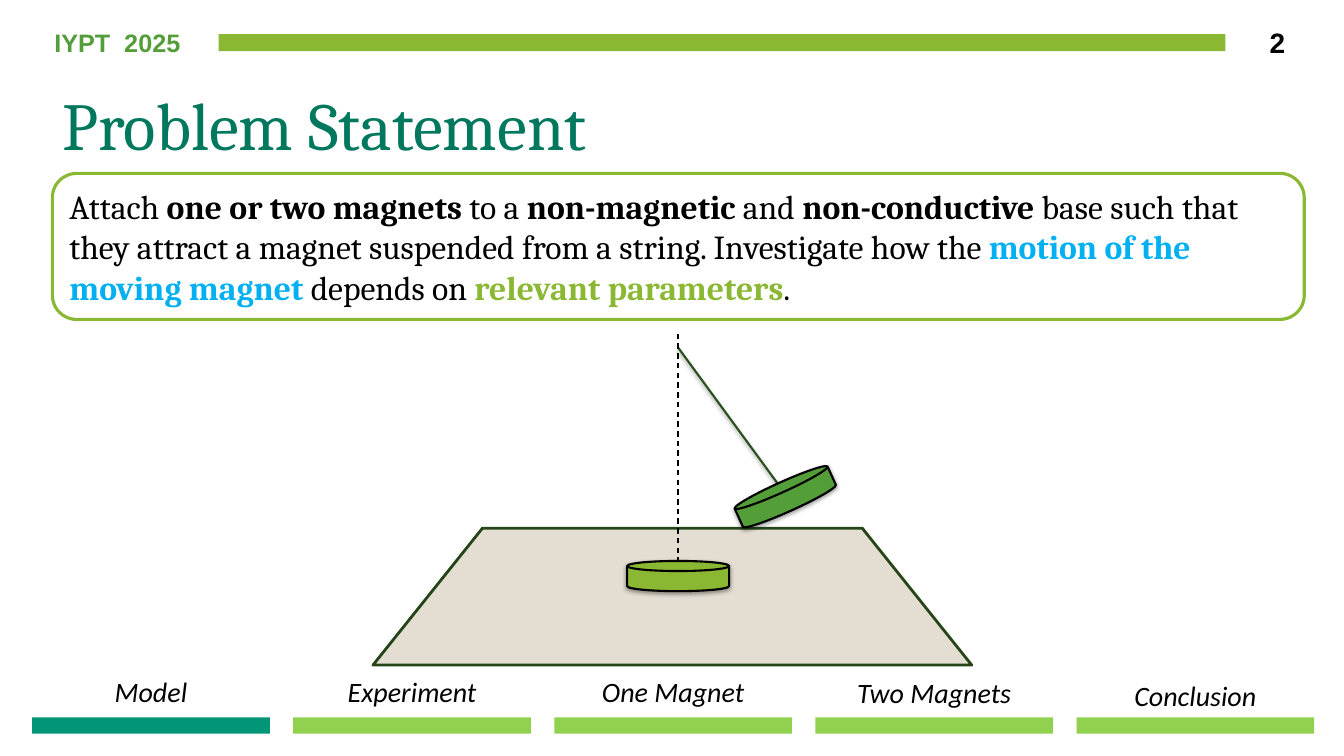
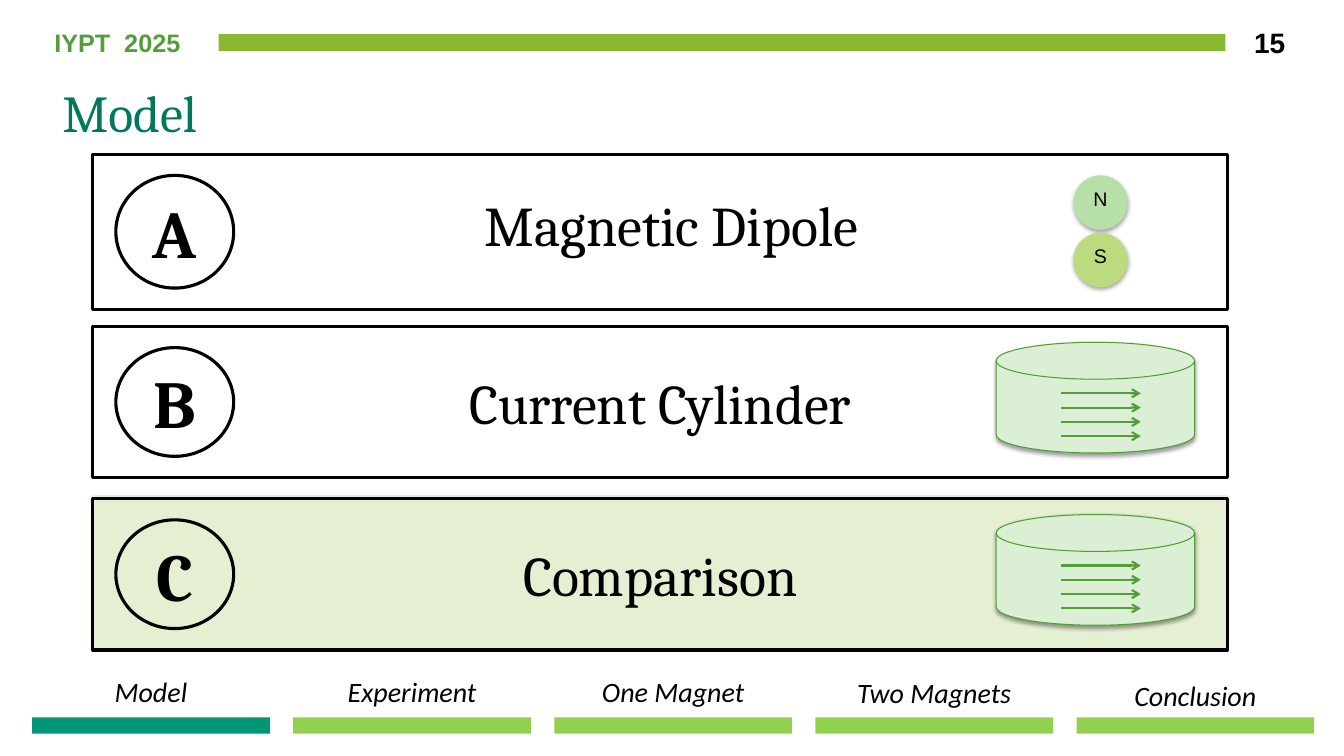
from dataclasses import dataclass

from lxml import etree
from pptx import Presentation
from pptx import util as u
from pptx.dml.color import RGBColor
from pptx.enum import dml, shapes, text
from pptx.oxml.ns import qn

Cm, Pt = u.Cm, u.Pt
KIND = shapes.MSO_SHAPE
ALIGN = text.PP_ALIGN
ANCHOR = text.MSO_ANCHOR


@dataclass(frozen=True)
class Theme:
    serif: str = "Cambria"
    sans: str = "Arial"
    label: str = "Calibri"
    ink: str = "000000"
    paper: str = "FFFFFF"
    title: str = "00785D"
    lime: str = "8AB833"
    green: str = "549E39"
    tab: str = "92D050"
    tab_active: str = "029676"
    blue: str = "00B0F0"
    base: str = "E3DED1"
    base_edge: str = "254519"
    string: str = "2A4F1C"
    drum: str = "DBEFD4"
    drum_edge: str = "519D35"
    north: str = "B7E0A8"
    south: str = "BBDB7E"
    letter_size: int = 48
    row_size: int = 40
    body_size: int = 24
    tab_size: int = 20
    event_size: int = 18
    pole_size: int = 14


T = Theme()

EVENT = "IYPT  2025"
TABS = [("Model", 16.87), ("Experiment", 16.87), ("One Magnet", 16.87),
        ("Two Magnets", 16.89), ("Conclusion", 16.97)]
ACTIVE_TAB = "Model"

PROBLEM = {"title": "Problem Statement", "size": 48, "height": 3.68, "number": "2"}
MODEL = {"title": "Model", "size": 37, "height": 3.05, "number": "15"}

STATEMENT = [
    ("Attach ", T.ink, False),
    ("one or two magnets ", T.ink, True),
    ("to a ", T.ink, False),
    ("non-magnetic", T.ink, True),
    (" and ", T.ink, False),
    ("non-conductive", T.ink, True),
    (" base such that they attract a magnet suspended from a string."
     " Investigate how the ", T.ink, False),
    ("motion of the moving magnet", T.blue, True),
    (" depends on ", T.ink, False),
    ("relevant parameters", T.lime, True),
    (".", T.ink, False),
]
MAGNETS = [(16.71, 13.23, 270, T.lime), (19.41, 11.23, 245.7, T.green)]

ROWS = [("A", "", 3.91), ("B", "Current Cylinder", 3.81), ("C", "Comparison", 3.81)]
ROW_LEFT, ROW_TOP, ROW_WIDTH, ROW_PITCH = 2.34, 3.89, 28.6, 4.34
DIPOLE = "Magnetic Dipole"
POLES = [("N", T.north), ("S", T.south)]
ARROWS = 4


def rgb(value):
    return RGBColor.from_string(value)


def effects(sh, shadow=None):
    lst = etree.SubElement(sh.element.spPr, qn("a:effectLst"))
    if shadow:
        outer = etree.SubElement(
            lst, qn("a:outerShdw"), blurRad=str(Pt(3.1)), dist=str(Pt(1.6)),
            dir="5400000", rotWithShape="0")
        clr = etree.SubElement(outer, qn("a:srgbClr"), val=T.ink)
        etree.SubElement(clr, qn("a:alpha"), val=str(shadow * 1000))


def shape(s, kind, box, fill=None, line=None, width=1, shadow=None, rot=0):
    sp = s.shapes.add_shape(kind, *map(Cm, box))
    sp.rotation = rot
    if fill:
        sp.fill.solid()
        sp.fill.fore_color.rgb = rgb(fill)
    else:
        sp.fill.background()
    if line:
        sp.line.color.rgb = rgb(line)
        sp.line.width = Pt(width)
    else:
        sp.line.fill.background()
    effects(sp, shadow)
    return sp


def connector(s, start, end, color, width, shadow=None):
    c = s.shapes.add_connector(shapes.MSO_CONNECTOR.STRAIGHT, *map(Cm, start + end))
    c.line.color.rgb = rgb(color)
    c.line.width = Pt(width)
    effects(c, shadow)
    return c


def write(sp, words, font, size, color=T.ink, align=ALIGN.CENTER,
          anchor=ANCHOR.MIDDLE, bold=False, italic=False, spacing=None):
    tf = sp.text_frame
    tf.word_wrap = True
    tf.auto_size = text.MSO_AUTO_SIZE.NONE
    tf.vertical_anchor = anchor
    p = tf.paragraphs[0]
    p.alignment = align
    if spacing:
        p.line_spacing = spacing
    f = p.font
    f.name, f.size, f.bold, f.italic = font, Pt(size), bold, italic
    f.color.rgb = rgb(color)
    if isinstance(words, str):
        p.add_run().text = words
        return
    for part, tint, strong in words:
        r = p.add_run()
        r.text = part
        r.font.bold = strong
        r.font.color.rgb = rgb(tint)


def textbox(s, box, words, font, size, **style):
    sp = s.shapes.add_textbox(*map(Cm, box))
    write(sp, words, font, size, **style)
    return sp


def draw_frame(s):
    parts = [shape(s, KIND.RECTANGLE, (5.51, 0.86, 25.37, 0.43), T.lime),
             textbox(s, (1.12, 0.56, 4.88, 1.02), EVENT, T.sans, T.event_size,
                     color=T.green, align=ALIGN.LEFT, anchor=ANCHOR.TOP, bold=True)]
    for i, (name, top) in enumerate(TABS):
        left = 0.81 + 6.58 * i
        fill = T.tab_active if name == ACTIVE_TAB else T.tab
        parts.append(textbox(s, (left, top, 5.99, 1.12), name, T.label, T.tab_size,
                             anchor=ANCHOR.TOP, italic=True))
        parts.append(shape(s, KIND.RECTANGLE, (left, 18.08, 5.99, 0.41), fill))
    return parts


def move_to_layout(layout, parts):
    for ph in list(layout.placeholders):
        if ph.placeholder_format.type != shapes.PP_PLACEHOLDER.TITLE:
            ph.element.getparent().remove(ph.element)
    for sp in parts:
        layout.shapes.element.append(sp.element)


def add_slide(prs, layout, content):
    s = prs.slides.add_slide(layout)
    title = s.shapes.title
    title.left, title.top = Cm(1.32), Cm(1.4)
    title.width, title.height = Cm(29.21), Cm(content["height"])
    write(title, content["title"], T.serif, content["size"], color=T.title,
          align=ALIGN.LEFT, spacing=0.9)
    return s


def add_number(s, content):
    textbox(s, (30.89, 0.46, 1.75, 1.22), content["number"], T.sans, T.tab_size,
            align=ALIGN.RIGHT, bold=True)


def draw_problem(s):
    box = shape(s, KIND.ROUNDED_RECTANGLE, (1.32, 4.37, 31.55, 3.68),
                T.paper, T.lime, 2.25)
    write(box, STATEMENT, T.serif, T.body_size, align=ALIGN.LEFT)
    base = shape(s, KIND.TRAPEZOID, (9.4, 13.31, 15.09, 3.45), T.base, T.base_edge, 2)
    base.adjustments[0] = 0.8
    connector(s, (17.09, 8.76), (19.66, 12.27), T.string, 1.5, shadow=38)
    axis = connector(s, (17.09, 8.41), (17.09, 14.88), T.ink, 1)
    axis.line.dash_style = dml.MSO_LINE.DASH
    for left, top, rot, fill in MAGNETS:
        shape(s, KIND.FLOWCHART_DIRECT_ACCESS_STORAGE, (left, top, 0.76, 2.57),
              fill, T.ink, 1.5, shadow=38, rot=rot)


def draw_cylinder(s, top):
    shape(s, KIND.FLOWCHART_DIRECT_ACCESS_STORAGE, (26.21, top - 0.71, 2.79, 5),
          T.drum, T.drum_edge, 0.75, shadow=38, rot=270)
    for i in range(ARROWS):
        y = top + 1.68 + 0.36 * i
        arrow = connector(s, (26.75, y), (28.75, y), T.green, 1.5)
        etree.SubElement(arrow.line._get_or_add_ln(), qn("a:tailEnd"), type="arrow")


def draw_poles(s):
    for i, (name, fill) in enumerate(POLES):
        pole = shape(s, KIND.OVAL, (27.05, 4.42 + 1.45 * i, 1.37, 1.37), fill, shadow=35)
        write(pole, name, T.sans, T.pole_size, anchor=ANCHOR.TOP)
        tf = pole.text_frame
        tf.margin_left = tf.margin_right = tf.margin_bottom = 0
        tf.margin_top = Cm(0.08)


def draw_model(s):
    glow = shape(s, KIND.RECTANGLE, (ROW_LEFT, 12.47, ROW_WIDTH, 3.96), T.lime)
    clr = glow.element.spPr.find(qn("a:solidFill")).find(qn("a:srgbClr"))
    etree.SubElement(clr, qn("a:alpha"), val="22000")
    for i, (letter, name, height) in enumerate(ROWS):
        top = ROW_TOP + ROW_PITCH * i
        row = shape(s, KIND.RECTANGLE, (ROW_LEFT, top, ROW_WIDTH, height),
                    line=T.ink, width=2.25)
        badge = shape(s, KIND.OVAL, (2.92, top + 0.53, 2.97, height - 1.07),
                      line=T.ink, width=2.25)
        write(badge, letter, T.serif, T.letter_size, bold=True)
        if name:
            write(row, name, T.serif, T.row_size)
            draw_cylinder(s, top)
    textbox(s, (8.33, 4.88, 17.17, 2.67), DIPOLE, T.serif, T.row_size,
            anchor=ANCHOR.TOP, spacing=0.9)
    draw_poles(s)


def main():
    prs = Presentation()
    prs.slide_width, prs.slide_height = Cm(33.87), Cm(19.05)
    layout = prs.slide_layouts[5]
    for content, draw in ((PROBLEM, draw_problem), (MODEL, draw_model)):
        s = add_slide(prs, layout, content)
        if content is PROBLEM:
            move_to_layout(layout, draw_frame(s))
        add_number(s, content)
        draw(s)
    prs.save("out.pptx")


if __name__ == "__main__":
    main()
